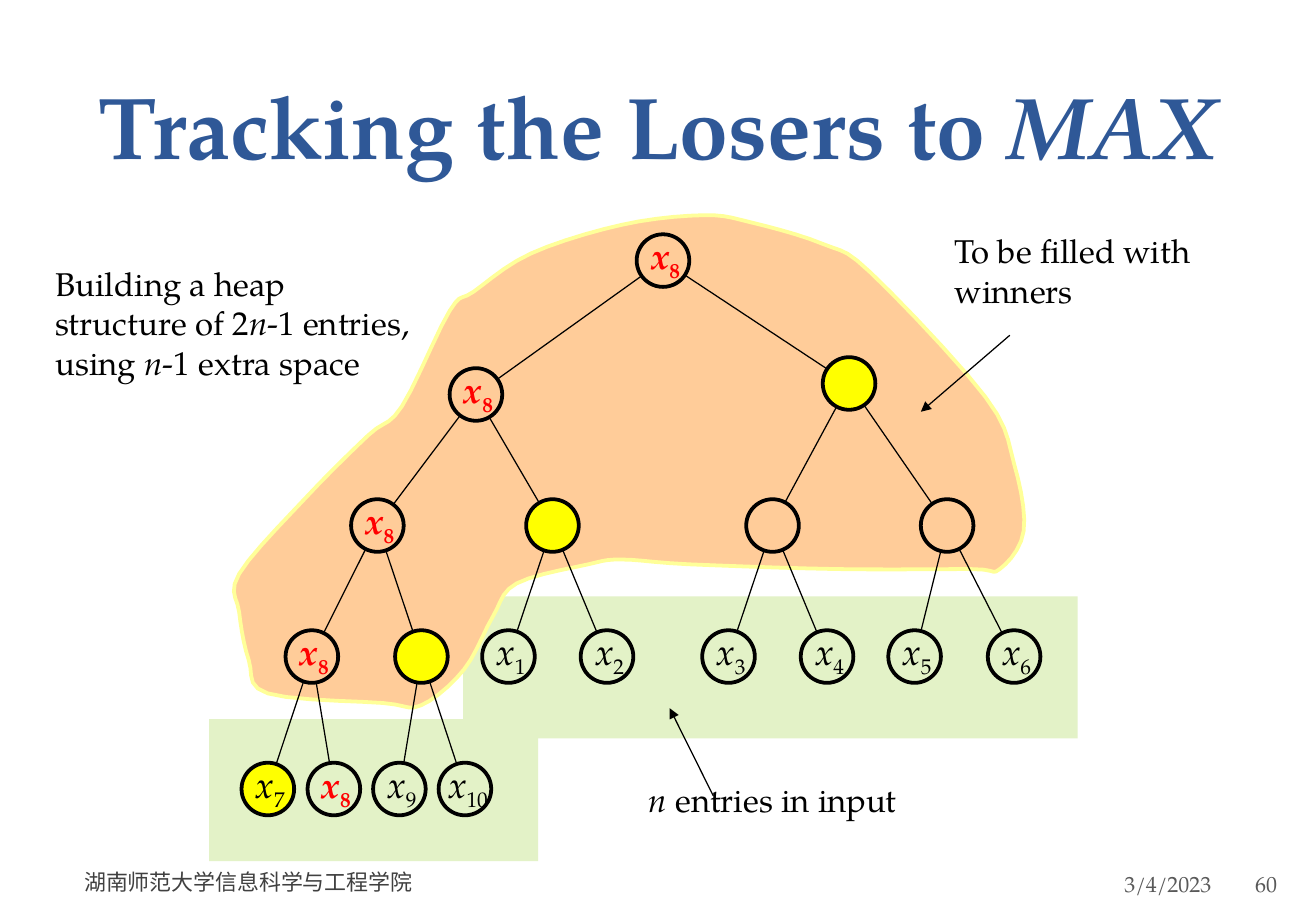
from math import hypot

from lxml import etree
from pptx import Presentation
from pptx.dml.color import RGBColor
from pptx.enum.shapes import MSO_CONNECTOR, MSO_SHAPE
from pptx.enum.text import MSO_ANCHOR, MSO_AUTO_SIZE, PP_ALIGN
from pptx.oxml.ns import qn
from pptx.util import Cm, Pt

RECT, OVAL = MSO_SHAPE.RECTANGLE, MSO_SHAPE.OVAL
LINE = MSO_CONNECTOR.STRAIGHT
TOP, MID, LOW = MSO_ANCHOR.TOP, MSO_ANCHOR.MIDDLE, MSO_ANCHOR.BOTTOM
LEFT, MIDST, RIGHT = PP_ALIGN.LEFT, PP_ALIGN.CENTER, PP_ALIGN.RIGHT
FIXED = MSO_AUTO_SIZE.NONE
FONT = "TeX Gyre Pagella"
COLORS = {
    "title": "2F5897", "text": "000000", "winner": "FF0000",
    "loser": "FFFF00", "input": "E3F2C7", "heap": "FFCC99",
    "rim": "FFFF99", "footer": "404040", "date": "595959",
}
SIZE = 1.1
STEPS = 5

ROWS = [
    (4.9, [13.31]), (7.7, [9.4]), (7.47, [17.2]),
    (10.44, [7.34, 11, 15.6, 19.25]),
    (13.18, [5.97, 8.26, 10.08, 12.14, 14.68, 16.74, 18.57, 20.65]),
    (15.95, [5.05, 6.43, 7.8, 9.17]),
]
MARKS = "8 8 loser 8 loser - - 8 loser 1 2 3 4 5 6 7 8 9 10".split()
RIM = [
    (5.6, 14.5), (8, 14.7), (8.8, 14.75), (9.7, 14), (10.3, 12.9),
    (10.8, 12.2), (12.3, 11.8), (13, 11.7), (14.4, 11.8), (17.5, 11.9),
    (20.3, 11.9), (20.9, 11.9), (21.4, 11.1), (21.2, 9.7), (20.6, 8.3),
    (18.2, 5.7), (17.2, 5.1), (15.7, 4.65), (14.7, 4.5), (13, 4.7),
    (11.1, 5.3), (9.9, 6.1), (9.4, 6.5), (8.4, 8.5), (7.7, 9.1),
    (6.4, 10.4), (5, 12), (5, 12.8), (5.2, 13.8),
]


def tint(name):
    return RGBColor.from_string(COLORS[name])


def paint(shape, fill, line=None):
    shape.shadow.inherit = False
    if fill:
        shape.fill.solid()
        shape.fill.fore_color.rgb = tint(fill)
    else:
        shape.fill.background()
    if line:
        shape.line.color.rgb = tint(line)
        shape.line.width = Pt(2.25)
    else:
        shape.line.fill.background()


def write(para, runs, size, color, bold=False):
    font = para.font
    font.name, font.size, font.bold = FONT, Pt(size), bold
    font.color.rgb = tint(color)
    for text, style in runs:
        run = para.add_run()
        run.text = text
        if style == "i":
            run.font.italic = True
        if style == "sub":
            run._r.get_or_add_rPr().set("baseline", "-25000")


def add_text(slide, area, runs, size, color, bold=False, align=LEFT,
             anchor=TOP, pads=(0.25, 0.25)):
    frame = slide.shapes.add_textbox(*map(Cm, area)).text_frame
    frame.word_wrap = True
    frame.vertical_anchor = anchor
    frame.margin_left, frame.margin_right = map(Cm, pads)
    para = frame.paragraphs[0]
    para.alignment = align
    write(para, runs, size, color, bold)


def add_title(slide):
    title = slide.shapes.title
    title.left, title.top = Cm(1.37), Cm(0.91)
    title.width, title.height = Cm(24.77), Cm(2.92)
    frame = title.text_frame
    frame.auto_size = FIXED
    frame.vertical_anchor = LOW
    para = frame.paragraphs[0]
    para.alignment = MIDST
    para.line_spacing = Pt(62.8)
    write(para, [("Tracking the Losers to ", ""), ("MAX", "i")],
          52, "title", True)


def add_band(slide, area):
    paint(slide.shapes.add_shape(RECT, *map(Cm, area)), "input")


def bend(a, b, c, d, t):
    return b + t / 2 * (c - a + t * (2 * a - 5 * b + 4 * c - d
                                     + t * (3 * (b - c) + d - a)))


def add_heap(slide):
    count = len(RIM)
    curve = []
    for i in range(count):
        near = [RIM[(i + k) % count] for k in (-1, 0, 1, 2)]
        for step in range(STEPS):
            curve.append([Cm(bend(*axis, step / STEPS))
                          for axis in zip(*near)])
    pen = slide.shapes.build_freeform(*curve[0])
    pen.add_line_segments(curve[1:], close=True)
    paint(pen.convert_to_shape(), "heap", "rim")


def add_node(slide, left, top, mark):
    node = slide.shapes.add_shape(OVAL, Cm(left), Cm(top), Cm(SIZE), Cm(SIZE))
    paint(node, "loser" if mark in ("loser", "7") else None, "text")


def add_label(slide, left, top, mark):
    won = mark == "8"
    shift, width = (-0.05, 1.57) if mark == "10" else (0.05, 1.37)
    add_text(slide, (left + shift, top - 0.15, width, 1.19),
             [("x", "i"), (mark, "sub")], 21.7,
             "winner" if won else "text", won)


def add_line(slide, ends, head=False):
    line = slide.shapes.add_connector(LINE, *map(Cm, ends))
    line.line.color.rgb = tint("text")
    line.line.width = Pt(0.75)
    if head:
        tail = etree.SubElement(line.line._get_or_add_ln(), qn("a:tailEnd"))
        tail.set("type", "triangle")
    etree.SubElement(line._element.spPr, qn("a:effectLst"))


def add_edge(slide, above, below):
    rad = SIZE / 2
    x, y = (v + rad for v in above)
    dx, dy = (b - a for a, b in zip(above, below))
    cut = rad / hypot(dx, dy)
    add_line(slide, (x + dx * cut, y + dy * cut,
                     x + dx * (1 - cut), y + dy * (1 - cut)))


def add_tree(slide):
    spots = [(x, y) for y, row in ROWS for x in row]
    for spot, mark in zip(spots, MARKS):
        add_node(slide, *spot, mark)
    for i in range(1, len(spots)):
        add_edge(slide, spots[(i - 1) // 2], spots[i])
    for spot, mark in zip(spots, MARKS):
        if mark.isdigit():
            add_label(slide, *spot, mark)


def add_notes(slide):
    heap = [("Building a heap structure of 2", ""), ("n", "i"),
            ("-1 entries, using ", ""), ("n", "i"), ("-1 extra space", "")]
    add_text(slide, (0.91, 5.38, 8.03, 2.77), heap, 19.5, "text")
    add_text(slide, (13.31, 16.18, 8.26, 1.09),
             [("n", "i"), (" entries in input", "")], 19.5, "text")
    add_text(slide, (19.71, 4.7, 5.74, 1.93),
             [("To be filled with winners", "")], 19.5, "text")
    add_line(slide, (14.91, 16.64, 14, 14.81), True)
    add_line(slide, (21.11, 7.01, 19.25, 8.61), True)


def add_footer(slide):
    add_text(slide, (19.18, 17.96, 6.27, 1.02), [("3/4/2023", "")], 13,
             "date", align=RIGHT, anchor=MID, pads=(0.25, 0.13))
    add_text(slide, (1.63, 17.93, 17.32, 1.02),
             [("湖南师范大学信息科学与工程学院", "")], 13, "footer",
             anchor=MID, pads=(0.13, 0.25))
    add_text(slide, (26.16, 17.96, 1.24, 1.02), [("60", "")], 13, "date",
             anchor=MID, pads=(0.08, 0.13))


def main():
    deck = Presentation()
    deck.slide_width, deck.slide_height = Cm(27.51), Cm(19.05)
    slide = deck.slides.add_slide(deck.slide_layouts[5])
    add_title(slide)
    add_footer(slide)
    add_band(slide, (9.68, 12.47, 12.85, 2.97))
    add_heap(slide)
    add_band(slide, (4.37, 15.04, 6.88, 2.97))
    add_tree(slide)
    add_notes(slide)
    deck.save("out.pptx")


if __name__ == "__main__":
    main()
